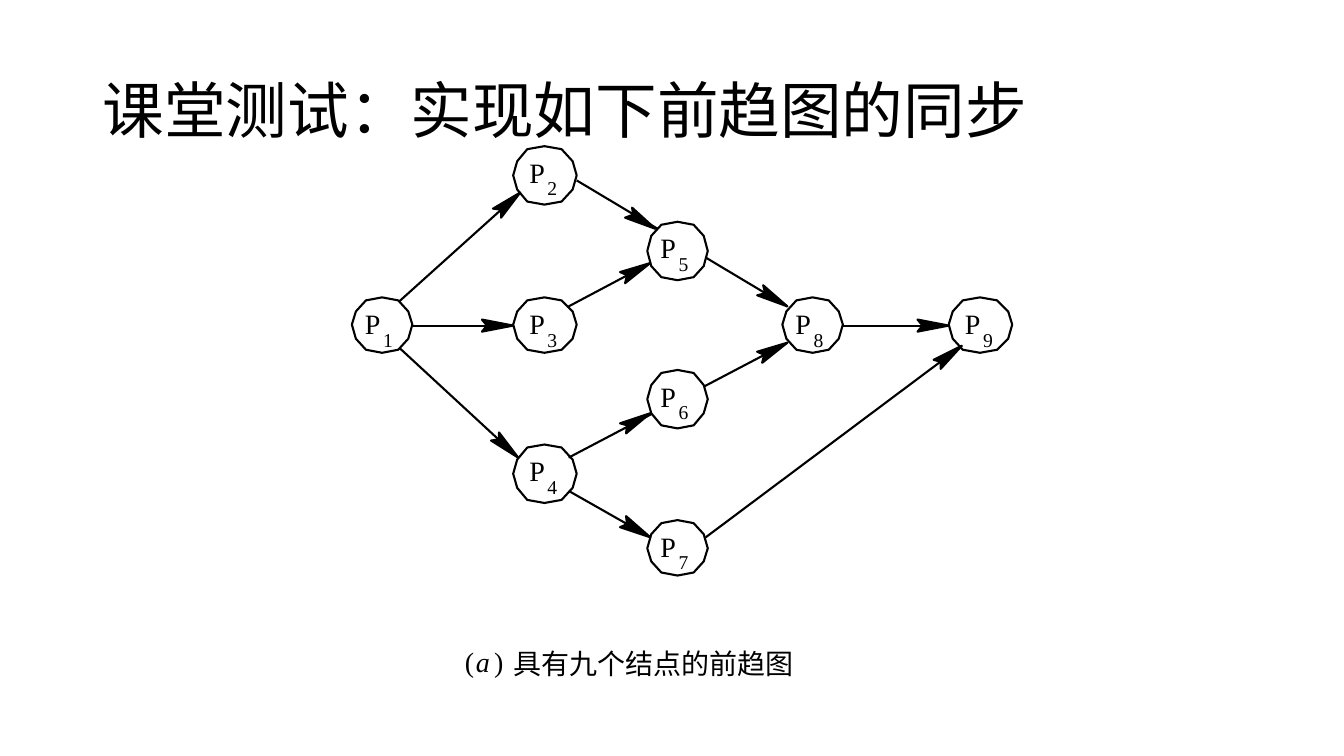
import math

import pptx
import pptx.dml.color
import pptx.enum.shapes
import pptx.enum.text
import pptx.oxml
import pptx.oxml.ns
import pptx.util

PX = 9144  # 100 px to the inch
COLOURS = {"ink": "000000", "paper": "FFFFFF"}
LATIN, HAN = "Times New Roman", "Noto Sans CJK SC"

# Node number: left, top, width, height
NODES = {
    1: (349, 295, 60, 55), 2: (509, 145, 63, 58), 3: (509, 295, 63, 55),
    4: (509, 441, 63, 58), 5: (642, 220, 60, 58), 6: (642, 367, 60, 58),
    7: (642, 516, 60, 55), 8: (776, 295, 60, 55), 9: (941, 295, 63, 55),
}
THROUGH_NODES = (5, 6, 7)  # filled, so that they cover lines running behind

# Start of each line, then the tip of each arrowhead along it
EDGES = [
    [(396, 299), (516, 191)],
    [(409, 323), (509, 323)],
    [(396, 345), (514, 454)],
    [(572, 179), (650, 227), (781, 304)],
    [(564, 304), (645, 261)],
    [(564, 454), (645, 410), (781, 340)],
    [(564, 487), (645, 533)],
    [(836, 323), (941, 323)],
    [(700, 533), (954, 343)],
]

# Twelve-sided node outline, as fractions of its box
OUTLINE = [(0, .5), (.06, .25), (.23, .06), (.5, 0), (.76, .06), (.94, .25),
           (1, .5), (.94, .75), (.76, .94), (.5, 1), (.23, .94), (.06, .75)]

# Arrowhead: distance back from the tip, offset to the side
HEAD = [(0, 0), (31, 6), (26, 0), (31, -6)]


class Diagram:
    def __init__(self, page):
        self.shapes = page.shapes

    def colour(self, name):
        return pptx.dml.color.RGBColor.from_string(COLOURS[name])

    def stroke(self, line):
        line.color.rgb = self.colour("ink")
        line.width = pptx.util.Pt(1.5)

    def text(self, words, left, top, width, height, size, font=LATIN,
             italic=None, frame_format=None, spacing=None):
        box = self.shapes.add_textbox(*(n * PX for n in (left, top, width, height)))
        frame = box.text_frame
        tight = {
            "margin_left": 0, "margin_top": 0, "margin_right": 0,
            "margin_bottom": 0, "word_wrap": False,
            "auto_size": pptx.enum.text.MSO_AUTO_SIZE.SHAPE_TO_FIT_TEXT,
        }
        for name, value in (frame_format or tight).items():
            setattr(frame, name, value)
        para = frame.paragraphs[0]
        para.line_spacing = spacing
        span = para.add_run()
        span.text = words
        style = {"size": pptx.util.Pt(size), "name": font, "italic": italic}
        for name, value in style.items():
            setattr(span.font, name, value)
        span.font.color.rgb = self.colour("ink")
        east_asian = pptx.oxml.parse_xml(
            f'<a:ea {pptx.oxml.ns.nsdecls("a")} typeface="{HAN}"/>')
        span.font._element.append(east_asian)

    def line(self, start, end):
        connector = self.shapes.add_connector(
            pptx.enum.shapes.MSO_CONNECTOR.STRAIGHT,
            *(n * PX for n in start + end))
        self.stroke(connector.line)
        connector._element.spPr.append(pptx.oxml.parse_xml(
            f'<a:effectLst {pptx.oxml.ns.nsdecls("a")}/>'))

    def polygon(self, points, fill=None):
        points = [(round(x), round(y)) for x, y in points]
        builder = self.shapes.build_freeform(*points[0], scale=PX)
        builder.add_line_segments(points[1:], close=True)
        shape = builder.convert_to_shape()
        shape.shadow.inherit = False
        self.stroke(shape.line)
        if fill:
            shape.fill.solid()
            shape.fill.fore_color.rgb = self.colour(fill)
        else:
            shape.fill.background()

    def node(self, number, left, top, width, height):
        fill = "paper" if number in THROUGH_NODES else None
        self.polygon([(left + x * width, top + y * height) for x, y in OUTLINE], fill)
        right = left + width
        self.text("P", right - 47, top + 9, 16, 32, 20)
        self.text(str(number), right - 29, top + 30, 10, 23, 14)

    def arrowhead(self, start, tip):
        angle = math.atan2(tip[1] - start[1], tip[0] - start[0])
        cos, sin = math.cos(angle), math.sin(angle)
        self.polygon([(tip[0] - back * cos - side * sin,
                       tip[1] - back * sin + side * cos)
                      for back, side in HEAD], "ink")


def main():
    deck = pptx.Presentation()
    deck.slide_width, deck.slide_height = 1333 * PX, 750 * PX
    diagram = Diagram(deck.slides.add_slide(deck.slide_layouts[6]))

    # Title
    diagram.text("课堂测试：实现如下前趋图的同步", 92, 40, 1150, 145, 44, "Calibri",
                 frame_format={"word_wrap": True,
                               "vertical_anchor": pptx.enum.text.MSO_ANCHOR.MIDDLE},
                 spacing=0.9)

    # Precedence graph: lines, nodes, then arrowheads on top
    for edge in EDGES:
        diagram.line(edge[0], edge[-1])
    for number, box in NODES.items():
        diagram.node(number, *box)
    for start, *tips in EDGES:
        for tip in tips:
            diagram.arrowhead(start, tip)

    # Caption
    for words, left, width, italic in [("(", 461, 9, None), ("a", 472, 14, True),
                                       (")", 490, 16, None)]:
        diagram.text(words, left, 639, width, 32, 20, italic=italic)
    diagram.text("具有九个结点的前趋图", 509, 641, 280, 32, 20, HAN)

    deck.save("out.pptx")


if __name__ == "__main__":
    main()
